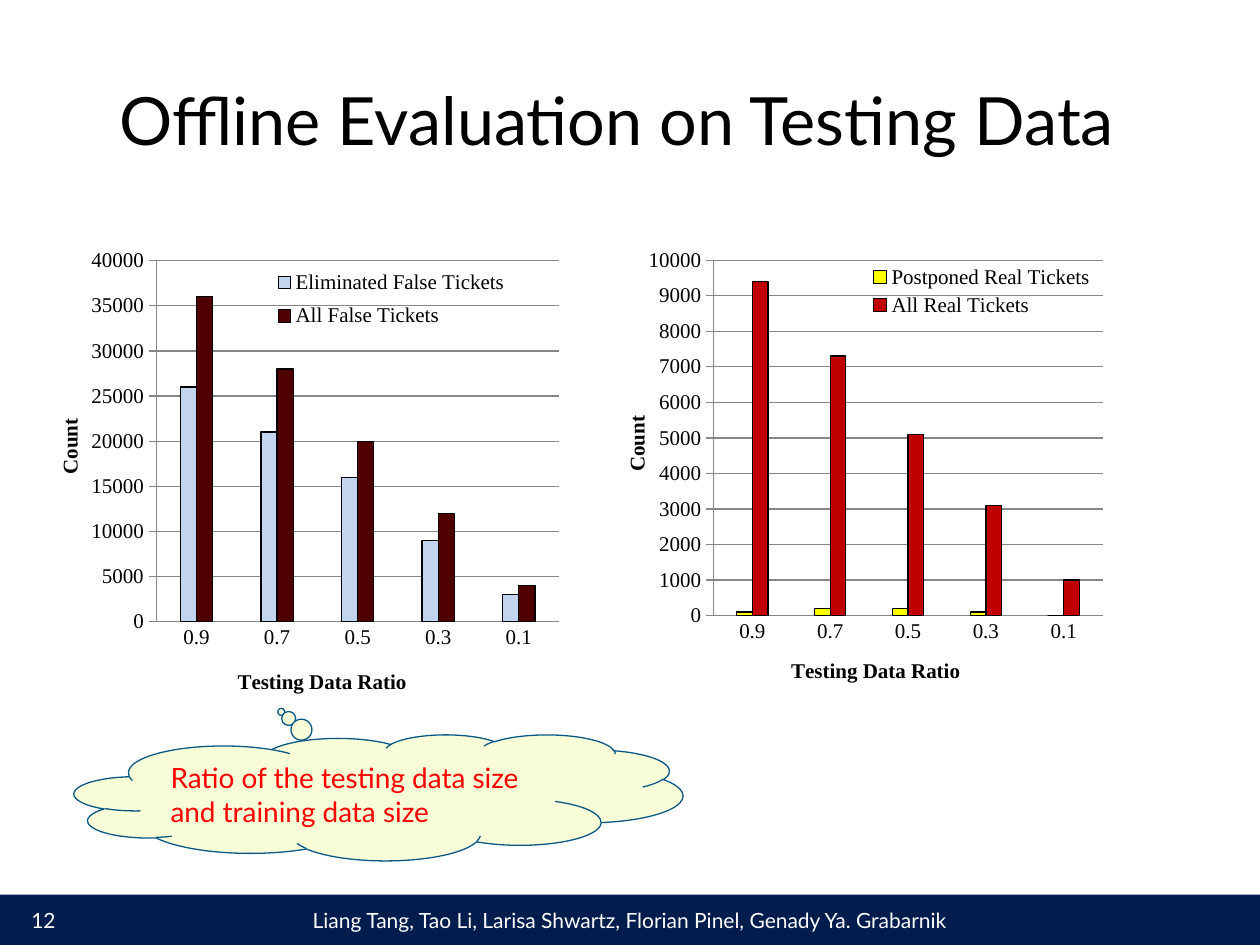
from lxml import etree
from pptx import Presentation
from pptx import util as u
from pptx.chart.data import CategoryChartData
from pptx.dml.color import RGBColor
from pptx.enum import chart as ch, shapes, text
from pptx.oxml.ns import qn

BLACK, WHITE, GRAY = "000000", "FFFFFF", "868686"
RATIOS = ["0.9", "0.7", "0.5", "0.3", "0.1"]


def rgb(value):
    """Turn a hex string into a colour."""
    return RGBColor.from_string(value)


def style_font(font, size, face, color, bold=False):
    """Set the look of a font."""
    font.size, font.name, font.bold = u.Pt(size), face, bold
    font.color.rgb = rgb(color)


def write(frame, words, size=12, face="Lato", color=BLACK, bold=False,
          align=text.PP_ALIGN.LEFT, anchor=text.MSO_ANCHOR.MIDDLE):
    """Write one formatted paragraph into a text frame."""
    frame.word_wrap = True
    frame.vertical_anchor = anchor
    paragraph = frame.paragraphs[0]
    paragraph.alignment = align
    run = paragraph.add_run()
    run.text = words
    style_font(run.font, size, face, color, bold)


def add_box(slide, preset, box, fill, line=None):
    """Add a flat preset shape."""
    shape = slide.shapes.add_shape(preset, *map(u.Inches, box))
    shape.shadow.inherit = False
    shape.fill.solid()
    shape.fill.fore_color.rgb = rgb(fill)
    if line:
        shape.line.color.rgb = rgb(line)
        shape.line.width = u.Pt(0.75)
    else:
        shape.line.fill.background()
    return shape


def place(parent, index, **fractions):
    """Give a chart part a manual layout in fractions of the chart."""
    for old in parent.findall(qn("c:layout")):
        parent.remove(old)
    layout = etree.Element(qn("c:layout"))
    parent.insert(index, layout)
    manual = etree.SubElement(layout, qn("c:manualLayout"))
    if parent.tag == qn("c:plotArea"):
        etree.SubElement(manual, qn("c:layoutTarget")).set("val", "inner")
    for key in ("x", "y"):
        etree.SubElement(manual, qn(f"c:{key}Mode")).set("val", "edge")
    for key, value in fractions.items():
        etree.SubElement(manual, qn(f"c:{key}")).set("val", str(value))


def add_axis_title(axis, words, x, y, rotation=0):
    """Title an axis at a set place."""
    frame = axis.axis_title.text_frame
    write(frame, words, face="Times New Roman", bold=True)
    frame._txBody.bodyPr.set("rot", str(rotation * 60000))
    place(axis.axis_title._element, 1, x=x, y=y)


def add_ticket_chart(slide, box, series, top, step, plot, legend, ratio_at, count_at):
    """Add a column chart of ticket counts by testing data ratio."""
    data = CategoryChartData()
    data.categories = RATIOS
    for name, counts, _ in series:
        data.add_series(name, counts)
    chart = slide.shapes.add_chart(
        ch.XL_CHART_TYPE.COLUMN_CLUSTERED, *map(u.Inches, box), data).chart
    style_font(chart.font, 12, "Times New Roman", BLACK)
    chart.has_title = False

    columns = chart.plots[0]
    columns.gap_width, columns.overlap = 300, 0
    columns.vary_by_categories = False
    for column, (_, _, color) in zip(columns.series, series):
        column.format.fill.solid()
        column.format.fill.fore_color.rgb = rgb(color)
        column.format.line.color.rgb = rgb(BLACK)
        column.format.line.width = u.Pt(0.75)

    ratio, count = chart.category_axis, chart.value_axis
    ratio.major_tick_mark = ch.XL_TICK_MARK.NONE
    count.major_tick_mark = ch.XL_TICK_MARK.OUTSIDE
    count.minimum_scale, count.maximum_scale, count.major_unit = 0, top, step
    count.has_major_gridlines = True
    for part in (ratio, count, count.major_gridlines):
        part.format.line.color.rgb = rgb(GRAY)
        part.format.line.width = u.Pt(0.75)
    add_axis_title(ratio, "Testing Data Ratio", *ratio_at)
    add_axis_title(count, "Count", *count_at, rotation=-90)

    chart.has_legend = True
    chart.legend.position = ch.XL_LEGEND_POSITION.RIGHT
    chart.legend.include_in_layout = False
    place(chart.legend._element, 1, **dict(zip("xywh", legend)))
    place(chart._chartSpace.chart.plotArea, 0, **dict(zip("xywh", plot)))


def add_title(slide, box):
    """Add the slide heading."""
    heading = slide.shapes.add_textbox(*map(u.Inches, box))
    write(heading.text_frame, "Offline Evaluation on Testing Data", size=38,
          anchor=text.MSO_ANCHOR.BOTTOM)


def add_footer(slide, box):
    """Add the author bar with the slide number at its left."""
    left, top, _, height = box
    bar = add_box(slide, shapes.MSO_SHAPE.RECTANGLE, box, "001D4D")
    write(bar.text_frame,
          "Liang Tang, Tao Li, Larisa Shwartz, Florian Pinel, Genady Ya. Grabarnik",
          color=WHITE, align=text.PP_ALIGN.CENTER)
    number = slide.shapes.add_textbox(*map(u.Inches, (left, top, 0.54, height)))
    write(number.text_frame, "12", color=WHITE, align=text.PP_ALIGN.RIGHT)


def add_ratio_note(slide, box):
    """Add the cloud that explains the ratio."""
    cloud = add_box(slide, shapes.MSO_SHAPE.CLOUD_CALLOUT, box, "F8FDD8", "095886")
    cloud.adjustments[0], cloud.adjustments[1] = -0.16, -0.68
    write(cloud.text_frame, "Ratio of the testing data size and training data size",
          size=16, color="FF0000")


def main():
    """Build the slide and save it."""
    deck = Presentation()
    deck.slide_width, deck.slide_height = u.Inches(10), u.Inches(7.5)
    slide = deck.slides.add_slide(deck.slide_layouts[6])
    add_footer(slide, (0, 7.1, 10, 0.4))
    add_title(slide, (0.85, 0.17, 8.29, 1.14))
    add_ticket_chart(
        slide, (0.42, 1.84, 4.1, 3.82),
        [("Eliminated False Tickets", (26000, 21000, 16000, 9000, 3000), "C3D5EE"),
         ("All False Tickets", (36000, 28000, 20000, 12000, 4000), "4E0000")],
        top=40000, step=5000, plot=(0.2, 0.06, 0.78, 0.75),
        legend=(0.42, 0.06, 0.47, 0.16), ratio_at=(0.35, 0.9), count_at=(0, 0.38))
    add_ticket_chart(
        slide, (4.92, 1.84, 3.91, 3.76),
        [("Postponed Real Tickets", (100, 200, 200, 100, 0), "FFFF00"),
         ("All Real Tickets", (9400, 7300, 5100, 3100, 1000), "C00000")],
        top=10000, step=1000, plot=(0.19, 0.06, 0.79, 0.75),
        legend=(0.5, 0.06, 0.47, 0.13), ratio_at=(0.34, 0.89), count_at=(0, 0.38))
    add_ratio_note(slide, (0.59, 5.83, 4.83, 1))
    deck.save("out.pptx")


if __name__ == "__main__":
    main()
